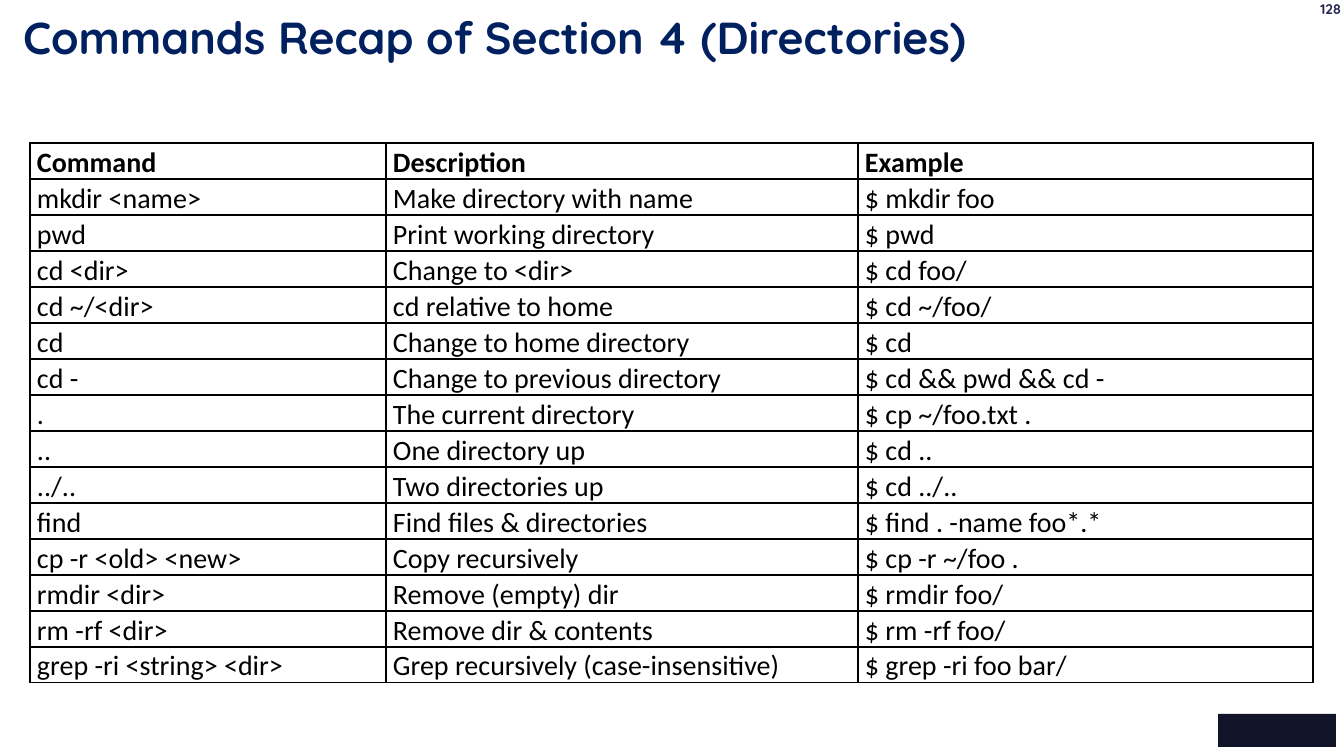
import pptx
import pptx.util
import pptx.dml.color
import pptx.enum.shapes
import pptx.enum.text
from lxml import etree

PX = 12192000 / 1344
NAVY = pptx.dml.color.RGBColor(0x00, 0x20, 0x60)
INDIGO = pptx.dml.color.RGBColor(0x24, 0x28, 0x52)
DARK = pptx.dml.color.RGBColor(0x12, 0x14, 0x29)
BLACK = pptx.dml.color.RGBColor(0x00, 0x00, 0x00)
COLUMN_WIDTHS = [356, 472, 455]
ROW_HEIGHT = 36
COMMANDS = [
    ("Command", "Description", "Example"),
    ("mkdir <name>", "Make directory with name", "$ mkdir foo"),
    ("pwd", "Print working directory", "$ pwd"),
    ("cd <dir>", "Change to <dir>", "$ cd foo/"),
    ("cd ~/<dir>", "cd relative to home", "$ cd ~/foo/"),
    ("cd", "Change to home directory", "$ cd"),
    ("cd -", "Change to previous directory", "$ cd && pwd && cd -"),
    (".", "The current directory", "$ cp ~/foo.txt ."),
    ("..", "One directory up", "$ cd .."),
    ("../..", "Two directories up", "$ cd ../.."),
    ("find", "Find files & directories", "$ find . -name foo*.*"),
    ("cp -r <old> <new>", "Copy recursively", "$ cp -r ~/foo ."),
    ("rmdir <dir>", "Remove (empty) dir", "$ rmdir foo/"),
    ("rm -rf <dir>", "Remove dir & contents", "$ rm -rf foo/"),
    ("grep -ri <string> <dir>", "Grep recursively (case-insensitive)", "$ grep -ri foo bar/"),
]


def px(*lengths):
    """Turn pixel lengths into EMU."""
    return [pptx.util.Emu(round(length * PX)) for length in lengths]


def write(frame, text, font_name, size, color, bold, align):
    frame.text = text
    paragraph = frame.paragraphs[0]
    paragraph.alignment = align
    font = paragraph.font
    font.name, font.size, font.bold = font_name, pptx.util.Pt(size), bold
    font.color.rgb = color
    return paragraph


ALIGN = pptx.enum.text.PP_ALIGN
TOP = pptx.enum.text.MSO_ANCHOR.TOP

deck = pptx.Presentation()
deck.slide_width, deck.slide_height = px(1344, 756)
slide = deck.slides.add_slide(deck.slide_layouts[5])

# Title
title = slide.shapes.title
title.left, title.top, title.width, title.height = px(13, 5, 1283, 63)
title.text_frame.auto_size = pptx.enum.text.MSO_AUTO_SIZE.NONE
title.text_frame.vertical_anchor = TOP
write(title.text_frame, "Commands Recap of Section 4 (Directories)", "Quicksand", 32, NAVY, True, ALIGN.LEFT)

# Footer block and page number
footer = slide.shapes.add_shape(pptx.enum.shapes.MSO_SHAPE.RECTANGLE, *px(1218, 714, 118, 33))
footer.shadow.inherit = False
footer.fill.solid()
footer.fill.fore_color.rgb = DARK
footer.line.fill.background()

page_number = slide.shapes.add_textbox(*px(1292, -4, 59, 27))
page_number.text_frame.word_wrap = True
write(page_number.text_frame, "128", "Quicksand", 10, INDIGO, True, ALIGN.RIGHT)

# Command table
recap = slide.shapes.add_table(
    len(COMMANDS), len(COLUMN_WIDTHS),
    *px(30, 143, sum(COLUMN_WIDTHS), ROW_HEIGHT * len(COMMANDS))).table
recap.horz_banding = False
for column, width in zip(recap.columns, px(*COLUMN_WIDTHS)):
    column.width = width

for row_index, entries in enumerate(COMMANDS):
    recap.rows[row_index].height = px(ROW_HEIGHT)[0]
    for column_index, entry in enumerate(entries):
        cell = recap.cell(row_index, column_index)
        cell.margin_left, cell.margin_right, cell.margin_top, cell.margin_bottom = px(7, 7, 0, 0)
        cell.vertical_anchor = TOP
        paragraph = write(cell.text_frame, entry, "Calibri", 20, BLACK, row_index == 0, ALIGN.JUSTIFY)
        paragraph.line_spacing = 1.07
        properties = cell._tc.get_or_add_tcPr()
        for side in "LRTB":
            border = etree.SubElement(properties, pptx.oxml.ns.qn("a:ln" + side), w="12700")
            fill = etree.SubElement(border, pptx.oxml.ns.qn("a:solidFill"))
            etree.SubElement(fill, pptx.oxml.ns.qn("a:srgbClr"), val=str(BLACK))
        cell.fill.background()

deck.save("out.pptx")
